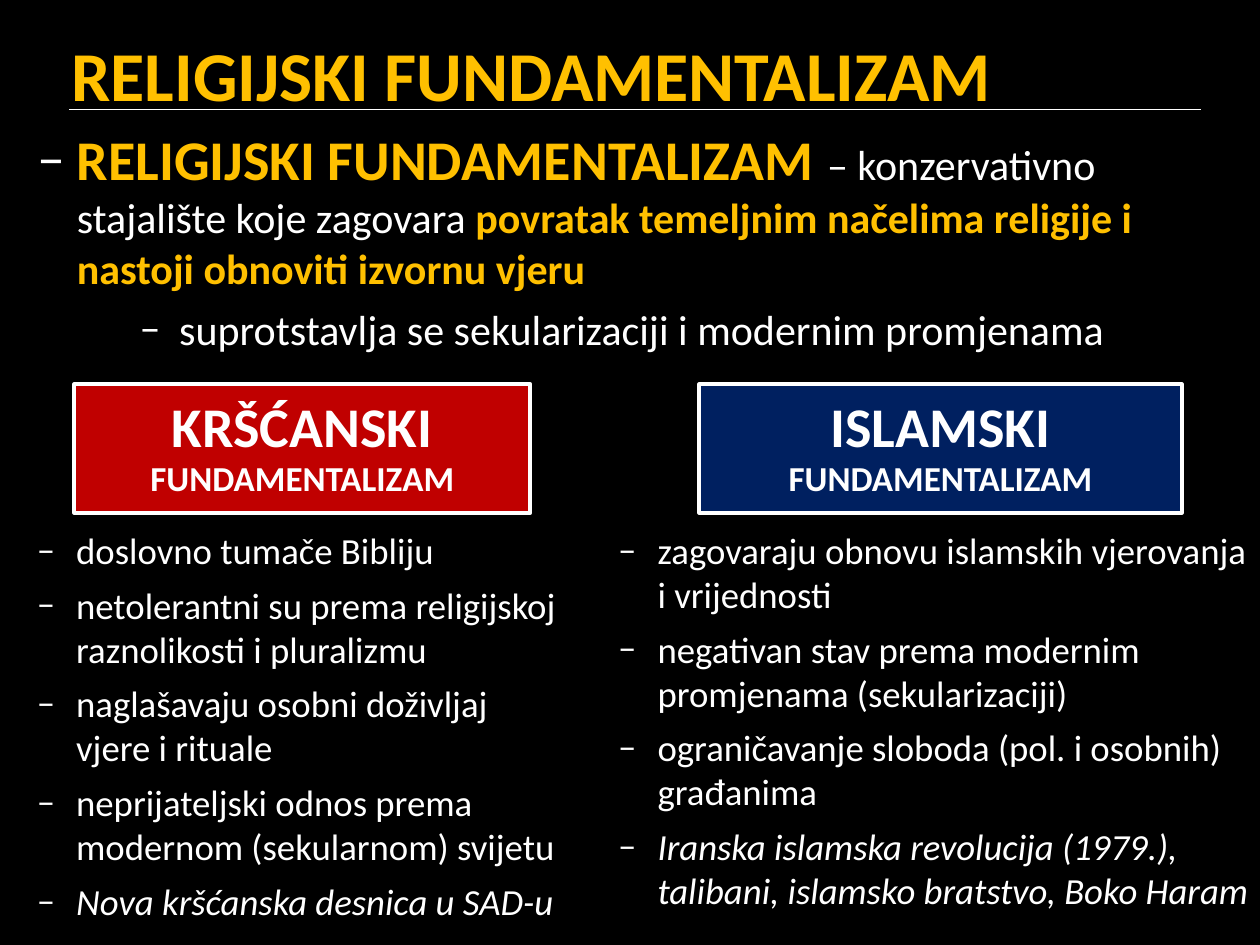
from dataclasses import dataclass

from lxml.etree import SubElement
from pptx import Presentation
from pptx.dml.color import RGBColor
from pptx.enum.shapes import MSO_CONNECTOR as Connector, MSO_SHAPE as Shape
from pptx.enum.text import MSO_ANCHOR as Anchor, PP_ALIGN as Align
from pptx.oxml.ns import qn
from pptx.slide import Slide
from pptx.text.text import TextFrame
from pptx.util import Pt


@dataclass(frozen=True)
class Theme:
    font: str = "Calibri"
    background: str = "000000"
    text: str = "FFFFFF"
    accent: str = "FFC000"
    christian: str = "C00000"
    islamic: str = "002060"
    title_size: float = 40
    term_size: float = 32
    body_size: float = 24
    list_size: float = 21
    label_size: float = 20


THEME = Theme()


@dataclass(frozen=True)
class Box:
    left: float
    top: float
    width: float
    height: float

    def lengths(self) -> tuple[Pt, ...]:
        return Pt(self.left), Pt(self.top), Pt(self.width), Pt(self.height)


@dataclass(frozen=True)
class Span:
    words: str
    size: float
    color: str = THEME.text
    bold: bool = False
    italic: bool = False


@dataclass(frozen=True)
class Item:
    spans: tuple[Span, ...]
    level: int = 0
    indent: float = 31
    before: float = 6


@dataclass(frozen=True)
class Branch:
    name: str
    fill: str
    heading: Box
    listing: Box
    traits: tuple[str, ...]
    example: str


HEADING_TOP, HEADING_HEIGHT = 219.6, 73.4
LIST_TOP, LIST_HEIGHT = 298, 232
HANGING = 22.5

DEFINITION = (
    Item((
        Span("RELIGIJSKI FUNDAMENTALIZAM ", THEME.term_size, THEME.accent, bold=True),
        Span("– konzervativno stajalište koje zagovara ", THEME.body_size),
        Span("povratak temeljnim načelima religije i nastoji obnoviti izvornu vjeru",
             THEME.body_size, THEME.accent, bold=True),
    ), before=12),
    Item((Span("suprotstavlja se sekularizaciji i modernim promjenama", THEME.body_size),),
         level=1, indent=89.5),
)

BRANCHES = (
    Branch(
        "ISLAMSKI ", THEME.islamic,
        Box(399.6, HEADING_TOP, 275.8, HEADING_HEIGHT),
        Box(337.7, LIST_TOP, 386.6, LIST_HEIGHT),
        (
            "zagovaraju obnovu islamskih vjerovanja i vrijednosti",
            "negativan stav prema modernim promjenama (sekularizaciji)",
            "ograničavanje sloboda (pol. i osobnih) građanima",
        ),
        "Iranska islamska revolucija (1979.), talibani, islamsko bratstvo, Boko Haram",
    ),
    Branch(
        "KRŠĆANSKI ", THEME.christian,
        Box(42.5, HEADING_TOP, 260.6, HEADING_HEIGHT),
        Box(5.4, LIST_TOP, 320.4, LIST_HEIGHT),
        (
            "doslovno tumače Bibliju",
            "netolerantni su prema religijskoj raznolikosti i pluralizmu",
            "naglašavaju osobni doživljaj vjere i rituale",
            "neprijateljski odnos prema modernom (sekularnom) svijetu",
        ),
        "Nova kršćanska desnica u SAD-u",
    ),
)


def add_spans(paragraph, spans: tuple[Span, ...]) -> None:
    for span in spans:
        run = paragraph.add_run()
        run.text = span.words
        font = run.font
        font.name = THEME.font
        font.size = Pt(span.size)
        font.bold = span.bold
        font.italic = span.italic
        font.color.rgb = RGBColor.from_string(span.color)


def add_text_frame(slide: Slide, box: Box) -> TextFrame:
    frame = slide.shapes.add_textbox(*box.lengths()).text_frame
    frame.word_wrap = True
    return frame


def add_dash(paragraph, indent: float) -> None:
    properties = paragraph._p.get_or_add_pPr()
    properties.set("marL", str(Pt(indent)))
    properties.set("indent", str(-Pt(HANGING)))
    color = SubElement(properties, qn("a:buClr"))
    SubElement(color, qn("a:srgbClr"), val=THEME.text)
    SubElement(properties, qn("a:buFont"), typeface=THEME.font)
    SubElement(properties, qn("a:buChar"), char="–")


def add_list(slide: Slide, box: Box, items: tuple[Item, ...]) -> None:
    frame = add_text_frame(slide, box)
    for index, item in enumerate(items):
        paragraph = frame.add_paragraph() if index else frame.paragraphs[0]
        paragraph.level = item.level
        paragraph.space_before = Pt(item.before)
        add_dash(paragraph, item.indent)
        add_spans(paragraph, item.spans)


def add_title(slide: Slide) -> None:
    rule = slide.shapes.add_connector(
        Connector.STRAIGHT, Pt(39.6), Pt(62.6), Pt(686.2), Pt(62.6))
    rule.line.color.rgb = RGBColor.from_string(THEME.text)
    rule.line.width = Pt(1)
    SubElement(rule._element.spPr, qn("a:effectLst"))
    frame = add_text_frame(slide, Box(33.8, 16.6, 703.4, 50.4))
    frame.vertical_anchor = Anchor.MIDDLE
    add_spans(frame.paragraphs[0], (
        Span("RELIGIJSKI FUNDAMENTALIZAM", THEME.title_size, THEME.accent, bold=True),))


def add_heading(slide: Slide, branch: Branch) -> None:
    heading = slide.shapes.add_shape(Shape.RECTANGLE, *branch.heading.lengths())
    heading.shadow.inherit = False
    heading.fill.solid()
    heading.fill.fore_color.rgb = RGBColor.from_string(branch.fill)
    heading.line.color.rgb = RGBColor.from_string(THEME.text)
    heading.line.width = Pt(2.25)
    frame = heading.text_frame
    frame.word_wrap = True
    frame.vertical_anchor = Anchor.MIDDLE
    paragraph = frame.paragraphs[0]
    paragraph.alignment = Align.CENTER
    paragraph.line_spacing = 0.93
    add_spans(paragraph, (
        Span(branch.name, THEME.term_size, bold=True),
        Span("FUNDAMENTALIZAM", THEME.label_size, bold=True),
    ))


def add_branch(slide: Slide, branch: Branch) -> None:
    add_heading(slide, branch)
    traits = tuple(Item((Span(trait, THEME.list_size),)) for trait in branch.traits)
    example = Item((Span(branch.example, THEME.list_size, italic=True),))
    add_list(slide, branch.listing, (*traits, example))


def main() -> None:
    deck = Presentation()
    deck.slide_width, deck.slide_height = Pt(720), Pt(540)
    slide = deck.slides.add_slide(deck.slide_layouts[6])
    slide.background.fill.solid()
    slide.background.fill.fore_color.rgb = RGBColor.from_string(THEME.background)
    add_title(slide)
    add_list(slide, Box(5.8, 67.7, 708.5, 146.2), DEFINITION)
    for branch in BRANCHES:
        add_branch(slide, branch)
    deck.save("out.pptx")


if __name__ == "__main__":
    main()
